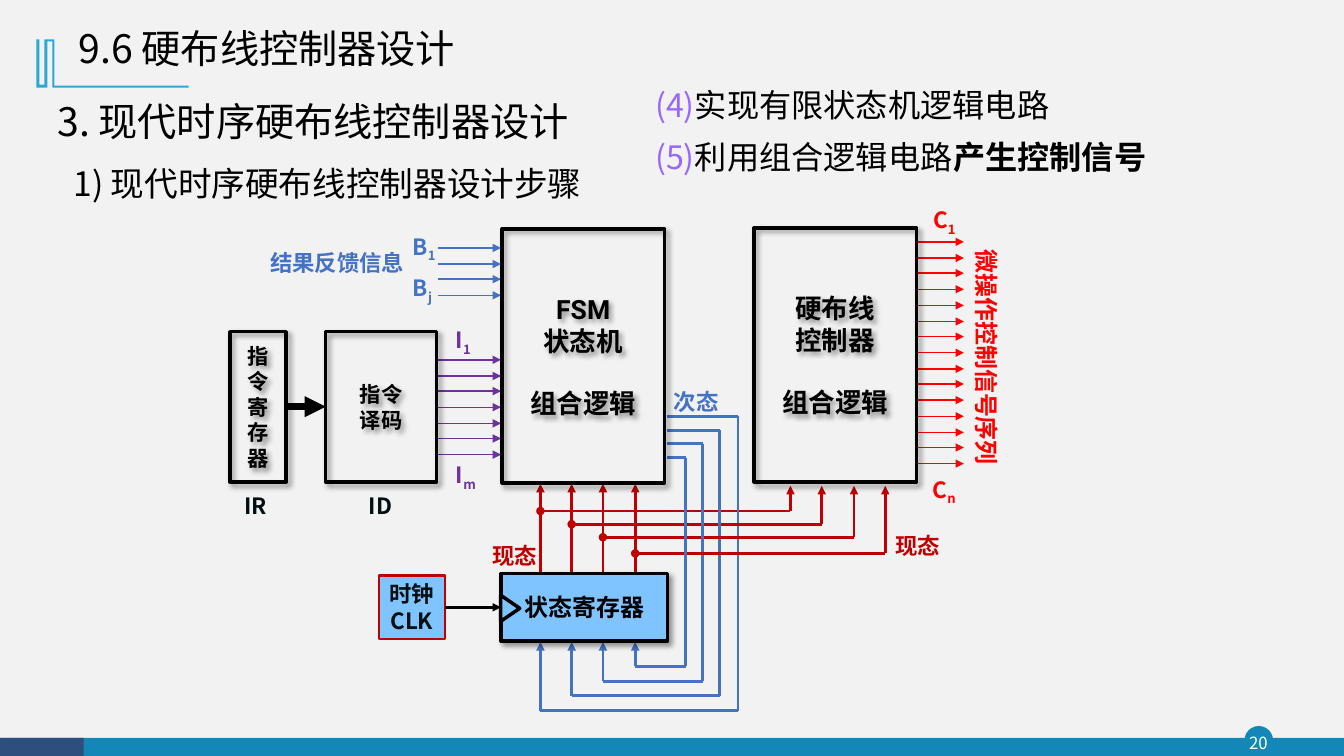
from dataclasses import dataclass

from lxml import etree
from pptx import Presentation, util as u
from pptx.dml.color import RGBColor
from pptx.enum import shapes as s, text as t
from pptx.oxml.ns import qn

PX = 9144
NOTO, SANS, BODY = "Noto Sans CJK SC", "Arial", "Roboto"
HUES = {
    "back": "F2F2F2", "teal": "1387B7", "navy": "2E4E7E", "cyan": "28A9D6",
    "black": "000000", "ink": "001010", "white": "FFFFFF", "blue": "4472C4",
    "sky": "7FC4FF", "crimson": "C00000", "red": "FF0000", "purple": "7030A0",
    "violet": "9966FF",
}


@dataclass
class Label:
    box: tuple[int, int, int, int]
    words: str
    hue: str
    sub: str = ""
    size: float = 16
    font: str = NOTO
    bold: bool = True
    wrap: bool = False
    left: bool = False
    turn: int = 0


@dataclass
class Block:
    box: tuple[int, int, int, int]
    words: str
    size: float = 15.2
    fill: str = ""
    edge: str = "black"
    width: float = 2.5
    ink: str = "black"
    font: str = BODY
    shade: bool = True
    wrap: bool = True


@dataclass
class Wire:
    start: tuple[int, int]
    end: tuple[int, int]
    hue: str
    width: float = 2
    head: str = ""
    tail: str = ""


@dataclass
class Route:
    pin: int
    out: int
    right: int
    base: int
    tap: int
    goal: int


def tint(name: str) -> RGBColor:
    return RGBColor.from_string(HUES[name])


def style(run, size: float, hue: str, font: str, bold: bool) -> None:
    run.font.size = u.Pt(size)
    run.font.name = font
    run.font.bold = bold
    run.font.color.rgb = tint(hue)
    etree.SubElement(run.font._element, qn("a:ea"), typeface=font)


def write(frame, words: str, size: float, hue: str, font: str, bold: bool, left: bool = False) -> None:
    frame.text = words
    for line in frame.paragraphs:
        line.alignment = t.PP_ALIGN.LEFT if left else t.PP_ALIGN.CENTER
        for run in line.runs:
            style(run, size, hue, font, bold)


def place(item, box: tuple[int, int, int, int]) -> None:
    item.left, item.top, item.width, item.height = (n * PX for n in box)


def paint(item, fill: str, edge: str = "", width: float = 1) -> None:
    item.shadow.inherit = False
    if fill:
        item.fill.solid()
        item.fill.fore_color.rgb = tint(fill)
    else:
        item.fill.background()
    if edge:
        item.line.color.rgb = tint(edge)
        item.line.width = u.Pt(width)
    else:
        item.line.fill.background()


def shape(slide, kind, box: tuple[int, int, int, int], fill: str, edge: str = "", width: float = 1):
    item = slide.shapes.add_shape(kind, *(n * PX for n in box))
    paint(item, fill, edge, width)
    return item


def label(slide, spec: Label):
    item = slide.shapes.add_textbox(*(n * PX for n in spec.box))
    item.rotation = spec.turn
    frame = item.text_frame
    frame.word_wrap = spec.wrap
    write(frame, spec.words, spec.size, spec.hue, spec.font, spec.bold, spec.left)
    if spec.sub:
        run = frame.paragraphs[0].add_run()
        run.text = spec.sub
        style(run, spec.size, spec.hue, spec.font, spec.bold)
        run.font._element.set("baseline", "-25000")
    return item


def block(slide, spec: Block):
    item = shape(slide, s.MSO_SHAPE.RECTANGLE, spec.box, spec.fill, spec.edge, spec.width)
    if spec.shade:
        glow = etree.SubElement(item._element.spPr.find(qn("a:effectLst")), qn("a:outerShdw"),
                                blurRad="50800", dist="38100", dir="2700000", rotWithShape="0")
        tone = etree.SubElement(glow, qn("a:srgbClr"), val=HUES["black"])
        etree.SubElement(tone, qn("a:alpha"), val="40000")
    frame = item.text_frame
    frame.word_wrap = spec.wrap
    frame.vertical_anchor = t.MSO_ANCHOR.MIDDLE
    write(frame, spec.words, spec.size, spec.ink, spec.font, True)
    return item


def wire(slide, spec: Wire):
    ends = (n * PX for n in spec.start + spec.end)
    item = slide.shapes.add_connector(s.MSO_CONNECTOR.STRAIGHT, *ends)
    item.line.color.rgb = tint(spec.hue)
    item.line.width = u.Pt(spec.width)
    for tag, kind in (("a:headEnd", spec.head), ("a:tailEnd", spec.tail)):
        if kind:
            etree.SubElement(item.line._get_or_add_ln(), qn(tag), type=kind)
    etree.SubElement(item._element.spPr, qn("a:effectLst"))
    return item


def join(slide, first, last, width: float) -> None:
    link = wire(slide, Wire((0, 0), (1, 1), "black", width, tail="triangle"))
    link.begin_connect(first, 3)
    link.end_connect(last, 1)


def comb(slide, left: int, right: int, top: int, low: int, count: int, hue: str) -> None:
    for i in range(count):
        y = round(top + (low - top) * i / (count - 1))
        wire(slide, Wire((left, y), (right, y), hue, 1, tail="triangle"))


def frame_page(slide) -> None:
    shape(slide, s.MSO_SHAPE.OVAL, (1235, 721, 27, 27), "teal", "teal")
    shape(slide, s.MSO_SHAPE.RECTANGLE, (1, 732, 1332, 19), "teal")
    shape(slide, s.MSO_SHAPE.RECTANGLE, (0, 732, 83, 19), "navy")
    page = label(slide, Label((1232, 721, 32, 31), "20", "white", size=12, bold=False, wrap=True)).text_frame
    page.margin_left = page.margin_right = page.margin_top = page.margin_bottom = 0
    page.vertical_anchor = t.MSO_ANCHOR.MIDDLE
    pen = slide.shapes.build_freeform(54, 39, scale=PX)
    pen.add_line_segments([(54, 85), (187, 85), (187, 87), (52, 87), (52, 41), (47, 41), (47, 87),
                           (36, 87), (36, 39), (39, 39), (39, 84), (44, 84), (44, 39)])
    paint(pen.convert_to_shape(), "cyan")


def heads(slide) -> None:
    title = slide.shapes.title
    place(title, (68, 16, 498, 68))
    title.text_frame.vertical_anchor = t.MSO_ANCHOR.MIDDLE
    write(title.text_frame, "9.6 硬布线控制器设计", 28, "black", NOTO, False, True)
    title.text_frame.paragraphs[0].line_spacing = 0.9
    label(slide, Label((47, 92, 687, 57), "3. 现代时序硬布线控制器设计", "black",
                       size=28, font="Noto Sans CJK JP", bold=False, wrap=True, left=True))
    label(slide, Label((63, 157, 546, 50), "1) 现代时序硬布线控制器设计步骤", "black",
                       size=24, bold=False, left=True))
    steps = label(slide, Label((640, 66, 540, 115), "(4)\n(5)", "violet", size=23,
                               bold=False, wrap=True, left=True)).text_frame.paragraphs
    for i, words, bold in ((0, "实现有限状态机逻辑电路", False), (1, "利用组合逻辑电路", False),
                           (1, "产生控制信号", True)):
        steps[i].line_spacing = 1.35
        run = steps[i].add_run()
        run.text = words
        style(run, 23, "black", SANS, bold)


def chart(slide) -> None:
    routes = [Route(536, 413, 732, 705, 507, 784), Route(567, 427, 714, 690, 520, 815),
              Route(598, 440, 697, 676, 533, 847), Route(630, 454, 680, 661, 549, 878)]
    for r in routes:
        wire(slide, Wire((r.pin, 577), (r.pin, 480), "crimson", tail="triangle"))
        wire(slide, Wire((r.pin, r.tap), (r.goal, r.tap), "crimson", head="oval"))
        wire(slide, Wire((r.goal, r.tap), (r.goal, 482), "crimson", tail="triangle"))
        wire(slide, Wire((662, r.out), (r.right, r.out), "blue"))
        wire(slide, Wire((r.right, r.out), (r.right, r.base), "blue"))
        wire(slide, Wire((r.right, r.base), (r.pin, r.base), "blue"))
        wire(slide, Wire((r.pin, r.base), (r.pin, 637), "blue", tail="triangle"))
    comb(slide, 434, 497, 246, 293, 4, "blue")
    comb(slide, 434, 497, 357, 451, 7, "purple")
    comb(slide, 909, 956, 240, 460, 15, "red")
    fetch = block(slide, Block((228, 329, 56, 149), "指令寄存器"))
    code = block(slide, Block((323, 329, 110, 149), "指令\n译码"))
    state = block(slide, Block((497, 569, 165, 67), "状态寄存器", 17.1, "sky"))
    clock = block(slide, Block((376, 571, 65, 63), "时钟\nCLK", 16, "sky", "crimson", 1.5,
                               "ink", NOTO, False, False))
    for spec in (Block((498, 227, 161, 252), "FSM\n状态机\n组合逻辑", 18.9),
                 Block((748, 226, 161, 252), "硬布线\n控制器\n组合逻辑", 18.9)):
        block(slide, spec).text_frame.paragraphs[2].space_before = u.Pt(22)
    join(slide, fetch, code, 5)
    join(slide, clock, state, 2)
    notch = shape(slide, s.MSO_SHAPE.ISOSCELES_TRIANGLE, (493, 594, 26, 19), "sky", "black", 2.5)
    notch.rotation = 90
    for spec in (
        Label((228, 483, 51, 37), "IR", "ink", wrap=True),
        Label((352, 483, 51, 37), "ID", "ink", wrap=True),
        Label((257, 242, 155, 37), "结果反馈信息", "blue", font=SANS),
        Label((398, 226, 45, 37), "B", "blue", "1"),
        Label((399, 267, 40, 37), "B", "blue", "j"),
        Label((441, 319, 37, 37), "I", "purple", "1"),
        Label((441, 453, 42, 37), "I", "purple", "m"),
        Label((914, 200, 45, 37), "C", "red", "1"),
        Label((914, 467, 45, 37), "C", "red", "n"),
        Label((861, 335, 236, 39), "微操作控制信号序列", "red", size=17.1, turn=90),
        Label((872, 523, 77, 37), "现态", "crimson", wrap=True),
        Label((472, 533, 77, 37), "现态", "crimson", wrap=True),
        Label((652, 380, 77, 37), "次态", "blue", wrap=True),
    ):
        label(slide, spec)


def main() -> None:
    deck = Presentation()
    deck.slide_width, deck.slide_height = 1333 * PX, 750 * PX
    slide = deck.slides.add_slide(deck.slide_layouts[5])
    slide.background.fill.solid()
    slide.background.fill.fore_color.rgb = tint("back")
    frame_page(slide)
    heads(slide)
    chart(slide)
    deck.save("out.pptx")


if __name__ == "__main__":
    main()
